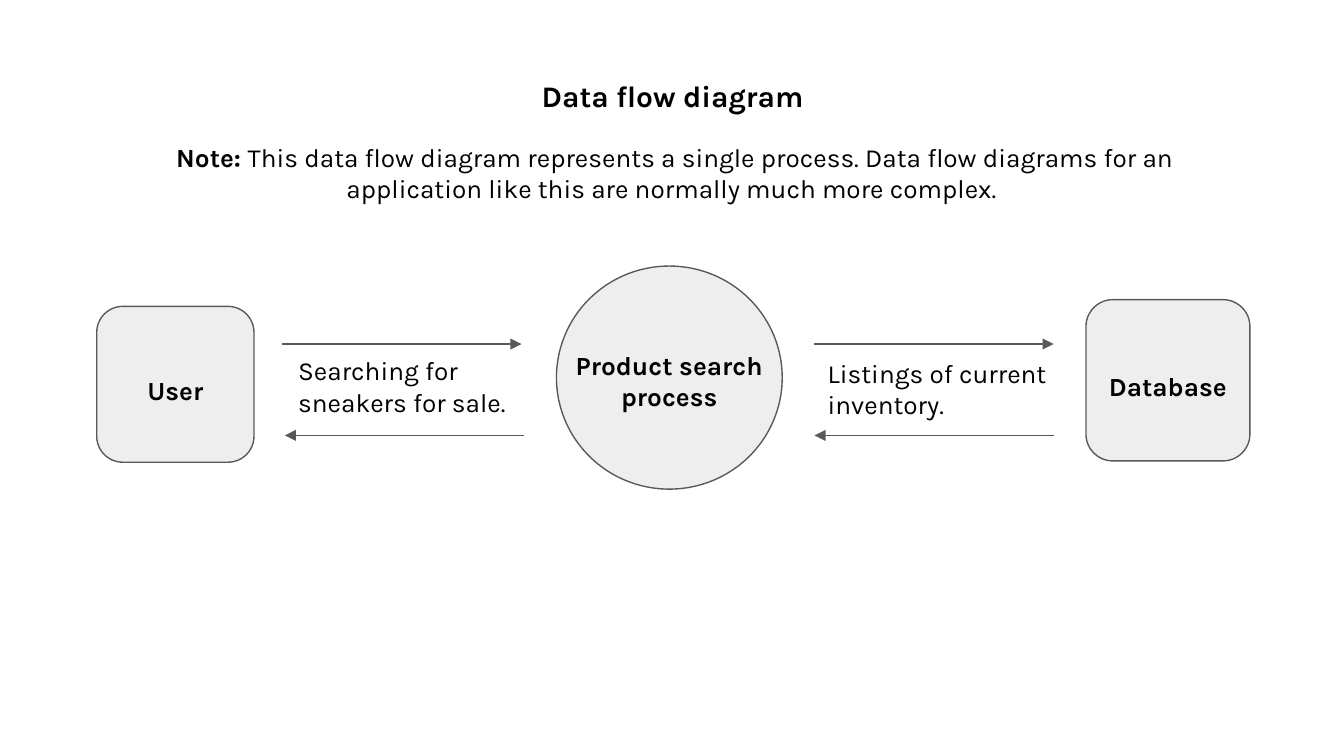
"""Build a slide with the data flow diagram of a product search."""
from lxml import etree
from pptx import Presentation
from pptx.dml.color import RGBColor
from pptx.enum.shapes import MSO_CONNECTOR, MSO_SHAPE
from pptx.enum.text import MSO_ANCHOR, MSO_AUTO_SIZE, PP_ALIGN
from pptx.oxml.ns import qn
from pptx.util import Inches, Pt

ROUNDED, CIRCLE = MSO_SHAPE.FLOWCHART_ALTERNATE_PROCESS, MSO_SHAPE.OVAL
STRAIGHT = MSO_CONNECTOR.STRAIGHT
TOP, MIDDLE = MSO_ANCHOR.TOP, MSO_ANCHOR.MIDDLE
LEFT, CENTER = PP_ALIGN.LEFT, PP_ALIGN.CENTER
NO_FIT = MSO_AUTO_SIZE.NONE

THEME = {
    "font": "Karla",
    "text": RGBColor.from_string("000000"),
    "fill": RGBColor.from_string("EEEEEE"),
    "line": RGBColor.from_string("595959"),
    "line_width": Pt(0.75),
    "title_size": Pt(16),
    "body_size": Pt(14),
}


def write(frame, text, lead="", size=THEME["body_size"], bold=False,
          align=LEFT, anchor=TOP, wrap=True, insets=(0.1, 0.1, 0.1, 0.1)):
    frame.auto_size = NO_FIT
    frame.word_wrap = wrap
    frame.vertical_anchor = anchor
    (frame.margin_left, frame.margin_top,
     frame.margin_right, frame.margin_bottom) = map(Inches, insets)
    for index, line in enumerate(text.split("\n")):
        paragraph = frame.add_paragraph() if index else frame.paragraphs[0]
        paragraph.alignment = align
        pieces = [(lead, True)] if lead and not index else []
        for piece, heavy in pieces + [(line, bold)]:
            run = paragraph.add_run()
            run.text = piece
            run.font.name = THEME["font"]
            run.font.size = size
            run.font.bold = heavy
            run.font.color.rgb = THEME["text"]


deck = Presentation()
deck.slide_width = Inches(10)
deck.slide_height = deck.slide_width * 9 // 16
slide = deck.slides.add_slide(deck.slide_layouts[5])

title = slide.shapes.title
title.left, title.top = Inches(1.55), Inches(0.48)
title.width, title.height = Inches(6.91), Inches(0.47)
write(title.text_frame, "Data flow diagram", size=THEME["title_size"],
      bold=True, align=CENTER)

nodes = [
    ("User", ROUNDED, 0.08, 0.72, 2.28, 1.17, 1.16),
    ("Database", ROUNDED, 0.08, 8.08, 2.23, 1.22, 1.2),
    ("Product search\nprocess", CIRCLE, 0.05, 4.14, 1.98, 1.68, 1.66),
]
for name, outline, drop, *box in nodes:
    node = slide.shapes.add_shape(outline, *map(Inches, box))
    node.shadow.inherit = False
    node.fill.solid()
    node.fill.fore_color.rgb = THEME["fill"]
    node.line.color.rgb = THEME["line"]
    node.line.width = THEME["line_width"]
    write(node.text_frame, name, bold=True, align=CENTER, anchor=MIDDLE,
          wrap=False, insets=(0, drop, 0, 0))

request_y, response_y = 2.56, 3.24
flows = [
    (2.1, 3.88, request_y),
    (6.06, 7.84, request_y),
    (3.9, 2.12, response_y),
    (7.84, 6.06, response_y),
]
for start, end, y in flows:
    flow = slide.shapes.add_connector(
        STRAIGHT, Inches(start), Inches(y), Inches(end), Inches(y))
    flow.line.color.rgb = THEME["line"]
    flow.line.width = THEME["line_width"]
    etree.SubElement(flow.line._get_or_add_ln(), qn("a:tailEnd"), type="triangle")
    etree.SubElement(flow._element.spPr, qn("a:effectLst"))

captions = [
    (" Note: ", "This data flow diagram represents a single process. Data flow "
     "diagrams for an application like this are normally much more complex.",
     CENTER, 0.71, 0.95, 8.58),
    ("", "Searching for sneakers for sale.", LEFT, 2.12, 2.54, 1.78),
    ("", "Listings of current inventory.", LEFT, 6.06, 2.56, 2.02),
]
for lead, text, align, left, top, width in captions:
    caption = slide.shapes.add_textbox(
        Inches(left), Inches(top), Inches(width), Inches(0.67))
    write(caption.text_frame, text, lead=lead, align=align)

deck.save("out.pptx")
